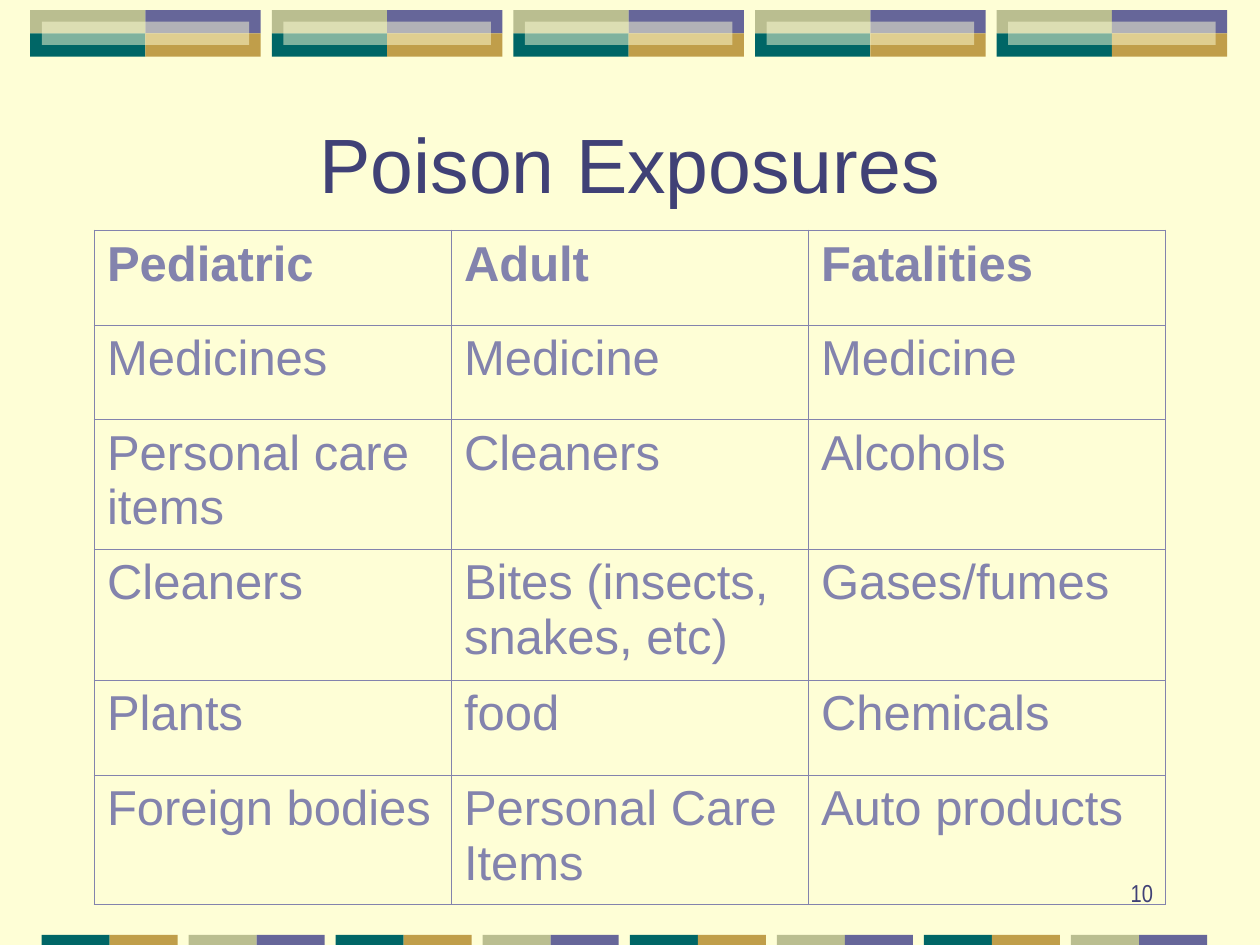
from lxml.etree import SubElement
from pptx import Presentation
from pptx.dml.color import RGBColor
from pptx.enum.shapes import MSO_SHAPE
from pptx.enum.text import MSO_ANCHOR, PP_ALIGN
from pptx.oxml.ns import qn
from pptx.util import Inches, Pt

CREAM = RGBColor(0xFE, 0xFE, 0xD6)
PURPLE = RGBColor(0x66, 0x66, 0x99)
GOLD = RGBColor(0xC0, 0x9E, 0x4A)
TEAL = RGBColor(0x00, 0x66, 0x66)
SAGE = RGBColor(0xBA, 0xBE, 0x90)
NAVY = RGBColor(0x40, 0x41, 0x76)
LILAC = RGBColor(0x83, 0x83, 0xAD)

THIN, THICK = Pt(0.45), Pt(1.08)
TITLE = {"name": "Arial", "size": Pt(44), "bold": False}
CELL = {"name": "Arial", "size": Pt(28)}
NUMBER = {"name": "Arial Narrow", "size": Pt(14)}

ROWS = [
    ("Pediatric", "Adult", "Fatalities"),
    ("Medicines", "Medicine", "Medicine"),
    ("Personal care items", "Cleaners", "Alcohols"),
    ("Cleaners", "Bites (insects, snakes, etc)", "Gases/fumes"),
    ("Plants", "food", "Chemicals"),
    ("Foreign bodies", "Personal Care Items", "Auto products"),
]
HEIGHTS = [0.75, 0.75, 1.03, 1.04, 0.75, 1.03]


def inch(box):
    return [Inches(n) for n in box]


def write(frame, text, form, color, align=PP_ALIGN.LEFT):
    frame.word_wrap = True
    para = frame.paragraphs[0]
    para.alignment = align
    run = para.add_run()
    run.text = text
    for key, value in form.items():
        setattr(run.font, key, value)
    run.font.color.rgb = color


def add_rect(slide, box, color):
    rect = slide.shapes.add_shape(MSO_SHAPE.RECTANGLE, *inch(box))
    rect.shadow.inherit = False
    rect.fill.solid()
    rect.fill.fore_color.rgb = color
    rect.line.fill.background()
    return rect


def add_grid(slide, box, colors):
    """Fill the box with equal rectangles, one for each colour in the rows."""
    left, top, width, height = box
    high = height / len(colors)
    for r, row in enumerate(colors):
        wide = width / len(row)
        for c, color in enumerate(row):
            add_rect(slide, (left + c * wide, top + r * high, wide, high), color)


def spread(box, count, wide):
    """Yield equal boxes of the given width, evenly spaced across the box."""
    left, top, width, height = box
    step = (width - wide) / (count - 1)
    for i in range(count):
        yield left + i * step, top, wide, height


def add_header(slide, box):
    for tile in spread(box, 5, 1.83):
        add_grid(slide, tile, [(SAGE, PURPLE), (TEAL, GOLD)])
        left, top, width, height = tile
        inset = (left + width * 0.05, top + height * 0.25, width * 0.9, height * 0.5)
        veil = add_rect(slide, inset, CREAM)
        tint = veil.fill._xPr.find(qn("a:solidFill"))[0]
        SubElement(tint, qn("a:alpha"), val="50000")


def add_footer(slide, box):
    pairs = [(TEAL, GOLD), (SAGE, PURPLE)]
    for i, tile in enumerate(spread(box, 8, 1.08)):
        add_grid(slide, tile, [pairs[i % 2]])


def add_title(slide, box, text):
    title = slide.shapes.title
    title.left, title.top, title.width, title.height = inch(box)
    title.text_frame.vertical_anchor = MSO_ANCHOR.MIDDLE
    write(title.text_frame, text, TITLE, NAVY, PP_ALIGN.CENTER)


def set_edges(cell, edges):
    props = cell._tc.get_or_add_tcPr()
    for side, width in edges.items():
        line = SubElement(props, qn(f"a:ln{side}"), w=str(width))
        fill = SubElement(line, qn("a:solidFill"))
        SubElement(fill, qn("a:srgbClr"), val=str(LILAC))


def add_grid_table(slide, box):
    rows, cols = len(ROWS), len(ROWS[0])
    table = slide.shapes.add_table(rows, cols, *inch(box)).table
    table.first_row = table.horz_banding = False
    for col in table.columns:
        col.width = Inches(box[2] / cols)
    for r, (texts, high) in enumerate(zip(ROWS, HEIGHTS)):
        table.rows[r].height = Inches(high)
        for c, text in enumerate(texts):
            cell = table.cell(r, c)
            set_edges(cell, {
                "L": THICK if c == 0 else THIN,
                "R": THICK if c == cols - 1 else THIN,
                "T": THICK if r == 0 else THIN,
                "B": THICK if r == rows - 1 else THIN,
            })
            cell.fill.background()
            write(cell.text_frame, text, {**CELL, "bold": r == 0}, LILAC)


def add_number(slide, box, text):
    frame = slide.shapes.add_textbox(*inch(box)).text_frame
    frame.vertical_anchor = MSO_ANCHOR.BOTTOM
    write(frame, text, NUMBER, NAVY, PP_ALIGN.RIGHT)


def main():
    deck = Presentation()
    deck.slide_width, deck.slide_height = Inches(10), Inches(7.5)
    slide = deck.slides.add_slide(deck.slide_layouts[5])
    slide.background.fill.solid()
    slide.background.fill.fore_color.rgb = CREAM
    add_header(slide, (0.24, 0.08, 9.5, 0.37))
    add_footer(slide, (0.33, 7.42, 9.25, 0.08))
    add_title(slide, (0.75, 0.67, 8.5, 1.25), "Poison Exposures")
    add_grid_table(slide, (0.75, 1.83, 8.5, sum(HEIGHTS)))
    add_number(slide, (7.17, 6.75, 2.08, 0.5), "10")
    deck.save("out.pptx")


if __name__ == "__main__":
    main()
